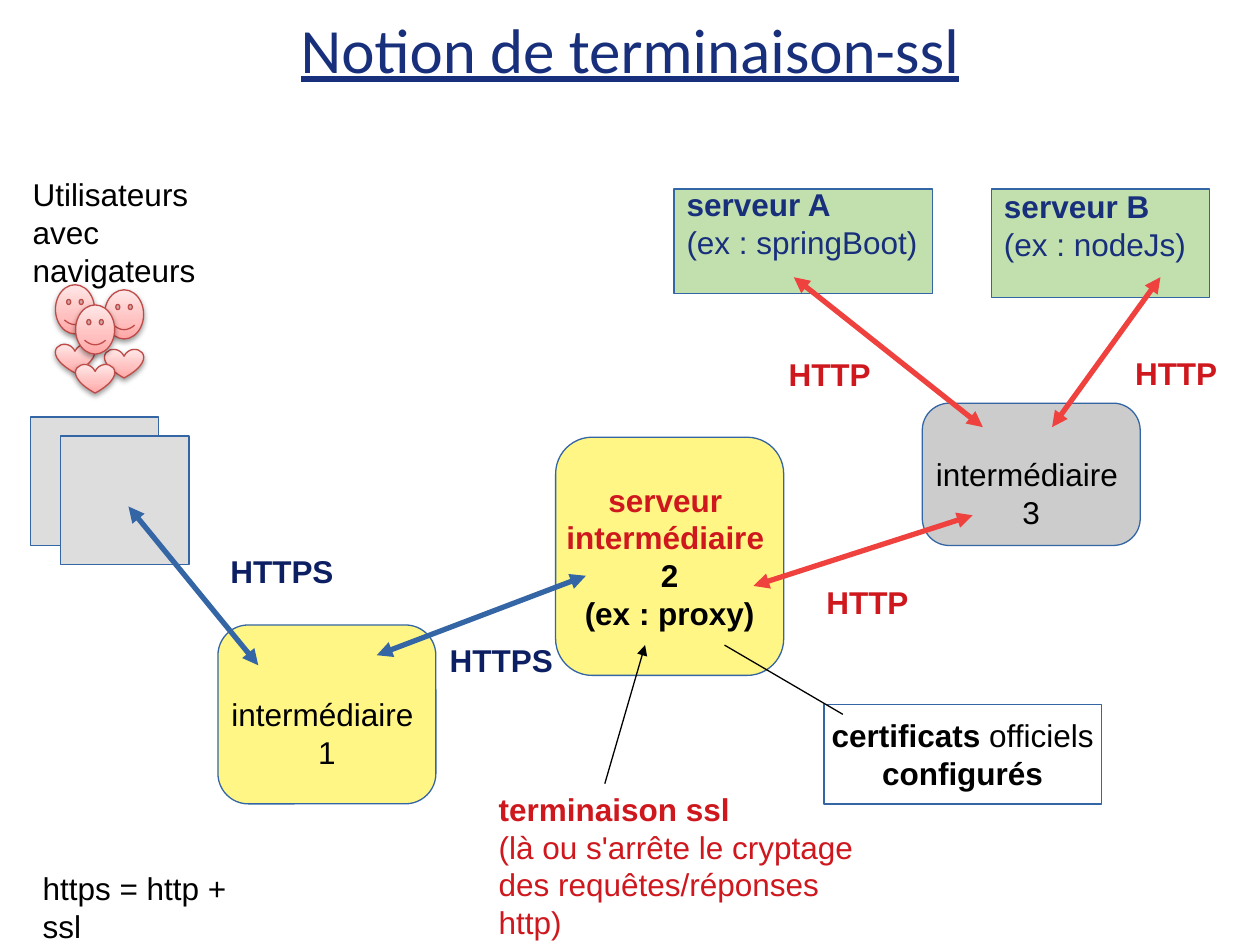
from copy import deepcopy

from lxml import etree
from pptx import Presentation
from pptx.dml.color import RGBColor
from pptx.enum.shapes import MSO_CONNECTOR, MSO_SHAPE
from pptx.enum.text import MSO_ANCHOR, PP_ALIGN
from pptx.oxml.ns import qn
from pptx.util import Inches, Pt

COLORS = {
    "title": "182F7C", "black": "000000", "red": "CE181E", "navy": "0D1F63",
    "blue": "3465A4", "arrow_red": "EF413D", "green": "C2E0AE",
    "yellow": "FFF685", "gray": "CCCCCC", "light_gray": "DDDDDD",
    "skin_dark": "FFA6A5", "skin": "FFC0BF", "skin_light": "FFE7E7",
    "skin_line": "BE4B48",
}
EMPTY_LINE = 0.29
BREAK = None


def color(name):
    return RGBColor.from_string(COLORS[name])


def write(shape, paragraphs, align=PP_ALIGN.LEFT, anchor=MSO_ANCHOR.TOP,
          wrap=True, extra=(0, 0, 0)):
    """Fill a shape with paragraphs of (text, color, bold) spans.

    extra widens the top, right and bottom insets, in inches.
    """
    frame = shape.text_frame
    frame.word_wrap = wrap
    frame.vertical_anchor = anchor
    top, right, bottom = extra
    frame.margin_left, frame.margin_right = Inches(0.1), Inches(0.1 + right)
    frame.margin_top, frame.margin_bottom = Inches(0.05 + top), Inches(0.05 + bottom)
    for index, spans in enumerate(paragraphs):
        para = frame.paragraphs[0] if index == 0 else frame.add_paragraph()
        para.alignment = align
        for part in spans:
            if part is BREAK:
                para.add_line_break()
                continue
            text, name, bold = part
            span = para.add_run()
            span.text = text
            span.font.name, span.font.size = "Arial", Pt(18)
            span.font.bold = bold
            span.font.color.rgb = color(name)


def add_text(page, box, paragraphs, extra=(0, 0, 0)):
    shape = page.shapes.add_textbox(*map(Inches, box))
    write(shape, paragraphs, extra=extra)
    return shape


def add_box(page, box, fill, corner=None):
    """Outlined rectangle, rounded when a corner ratio is given."""
    kind = MSO_SHAPE.RECTANGLE if corner is None else MSO_SHAPE.ROUNDED_RECTANGLE
    shape = page.shapes.add_shape(kind, *map(Inches, box))
    if corner is not None:
        shape.adjustments[0] = corner
    if fill:
        shape.fill.solid()
        shape.fill.fore_color.rgb = color(fill)
    else:
        shape.fill.background()
    shape.line.color.rgb = color("blue")
    shape.line.width = Pt(0.75)
    shape.shadow.inherit = False
    return shape


def add_line(page, start, end, name, width, heads=()):
    line = page.shapes.add_connector(
        MSO_CONNECTOR.STRAIGHT, *map(Inches, start + end))
    line.line.color.rgb = color(name)
    line.line.width = Pt(width)
    outline = line.line._get_or_add_ln()
    for head in heads:
        etree.SubElement(outline, qn(f"a:{head}"), type="triangle")
    etree.SubElement(line._element.spPr, qn("a:effectLst"))


def style_user_part(shape):
    """Pink gradient, red outline and a soft shadow below."""
    shape.fill.gradient()
    shape.fill.gradient_angle = 90
    stops = shape._element.spPr.find(qn("a:gradFill")).find(qn("a:gsLst"))
    stops.insert(1, deepcopy(stops[0]))
    ramp = ((0, "skin_dark"), (0.35, "skin"), (1, "skin_light"))
    for stop, (position, name) in zip(shape.fill.gradient_stops, ramp):
        stop.position = position
        stop.color.rgb = color(name)
    shape.line.color.rgb = color("skin_line")
    shape.line.width = Pt(0.75)
    shape.shadow.inherit = False
    effects = shape._element.spPr.find(qn("a:effectLst"))
    shadow = etree.SubElement(
        effects, qn("a:outerShdw"), blurRad=str(Pt(3.1)), dist=str(Pt(1.6)),
        dir="5400000", rotWithShape="0")
    tint = etree.SubElement(shadow, qn("a:srgbClr"), val=COLORS["black"])
    etree.SubElement(tint, qn("a:alpha"), val="38000")


def add_user(page, left, top):
    face = page.shapes.add_shape(
        MSO_SHAPE.SMILEY_FACE, *map(Inches, (left, top, 0.31, 0.39)))
    face.adjustments[0] = 0.047
    heart = page.shapes.add_shape(
        MSO_SHAPE.HEART, *map(Inches, (left, top + 0.47, 0.31, 0.23)))
    for part in (face, heart):
        style_user_part(part)


def add_title(page, box):
    title = add_text(page, box, [[("Notion de terminaison-ssl", "title", False)]])
    title.text_frame.vertical_anchor = MSO_ANCHOR.MIDDLE
    para = title.text_frame.paragraphs[0]
    para.alignment = PP_ALIGN.CENTER
    font = para.runs[0].font
    font.name, font.size, font.underline = "Calibri", Pt(36), True


def add_users(page, left, top):
    """Caption, three users and the two stacked browser windows."""
    for dx, dy in ((0.28, 0.92), (0.67, 0.96), (0.44, 1.08)):
        add_user(page, left + dx, top + dy)
    for dx, dy in ((0.08, 1.97), (0.32, 2.12)):
        add_box(page, (left + dx, top + dy, 1.02, 1.02), "light_gray")
    add_text(page, (left, top, 2.08, 0.66),
             [[("Utilisateurs", "black", False), BREAK,
               ("avec navigateurs", "black", False)]], extra=(0, 0.5, 0))


def add_server(page, box, name, example):
    server = add_box(page, box, "green")
    write(server, [[(name, "title", True)], [(example, "title", False)]],
          anchor=MSO_ANCHOR.MIDDLE, wrap=False, extra=(0, 0, EMPTY_LINE))


def add_relay(page, box, fill, corner, paragraphs, lowered=0):
    relay = add_box(page, box, fill, corner)
    write(relay, paragraphs, PP_ALIGN.CENTER, MSO_ANCHOR.MIDDLE, False,
          (lowered, 0, 0))


def add_relays(page):
    for number, box, fill, corner in (
            ("1", (1.73, 4.96, 1.73, 1.42), "yellow", 0.17),
            ("3", (7.32, 3.2, 1.73, 1.13), "gray", 0.19)):
        add_relay(page, box, fill, corner,
                  [[("intermédiaire ", "black", False)],
                   [(number, "black", False)]], EMPTY_LINE)
    add_relay(page, (4.41, 3.47, 1.81, 1.89), "yellow", 0.16,
              [[("serveur ", "red", True)], [("intermédiaire ", "red", True)],
               [("2", "black", True)], [("(ex : proxy)", "black", True)]])


def add_links(page):
    both = ("headEnd", "tailEnd")
    for start, end, name in (
            ((1.02, 4.02), (2.05, 5.28), "blue"),
            ((2.99, 5.2), (4.65, 4.57), "blue"),
            ((5.98, 4.65), (7.72, 4.09), "arrow_red"),
            ((8.35, 3.39), (9.21, 2.2), "arrow_red"),
            ((6.3, 2.2), (7.8, 3.39), "arrow_red")):
        add_line(page, start, end, name, 3, both)
    for text, name, width, places in (
            ("HTTPS", "navy", 1.02, ((1.73, 4.33), (3.47, 5.04))),
            ("HTTP", "red", 0.85, ((6.46, 4.58), (6.16, 2.77), (8.91, 2.76)))):
        for left, top in places:
            add_text(page, (left, top, width, 0.38), [[(text, name, True)]])


def add_notes_on_relay(page):
    """Certificate box and explanation of where encryption stops."""
    certificates = add_box(page, (6.54, 5.59, 2.2, 0.79), None)
    write(certificates,
          [[("certificats", "black", True), (" officiels", "black", False)],
           [("configurés", "black", True)]],
          PP_ALIGN.CENTER, MSO_ANCHOR.MIDDLE, False)
    add_line(page, (6.69, 5.67), (5.75, 5.12), "black", 0.75)
    add_line(page, (4.8, 6.22), (5.12, 5.12), "black", 0.75, ("tailEnd",))
    add_text(page, (3.86, 6.22, 3.3, 0.94),
             [[("terminaison ssl", "red", True)],
              [("(là ou s'arrête le cryptage", "red", False)],
              [("des requêtes/réponses http)", "red", False)]], (0, 0.2, 0))


def main():
    deck = Presentation()
    deck.slide_width, deck.slide_height = Inches(10), Inches(7.5)
    page = deck.slides.add_slide(deck.slide_layouts[6])
    add_title(page, (0.5, 0.13, 9, 0.5))
    add_users(page, 0.16, 1.34)
    add_server(page, (5.35, 1.5, 2.05, 0.83), "serveur A", "(ex : springBoot)")
    add_server(page, (7.87, 1.5, 1.73, 0.86), "serveur B", "(ex : nodeJs)")
    add_relays(page)
    add_links(page)
    add_notes_on_relay(page)
    add_text(page, (0.24, 6.85, 2.03, 0.38),
             [[("https = http + ssl", "black", False)]])
    deck.save("out.pptx")


if __name__ == "__main__":
    main()
